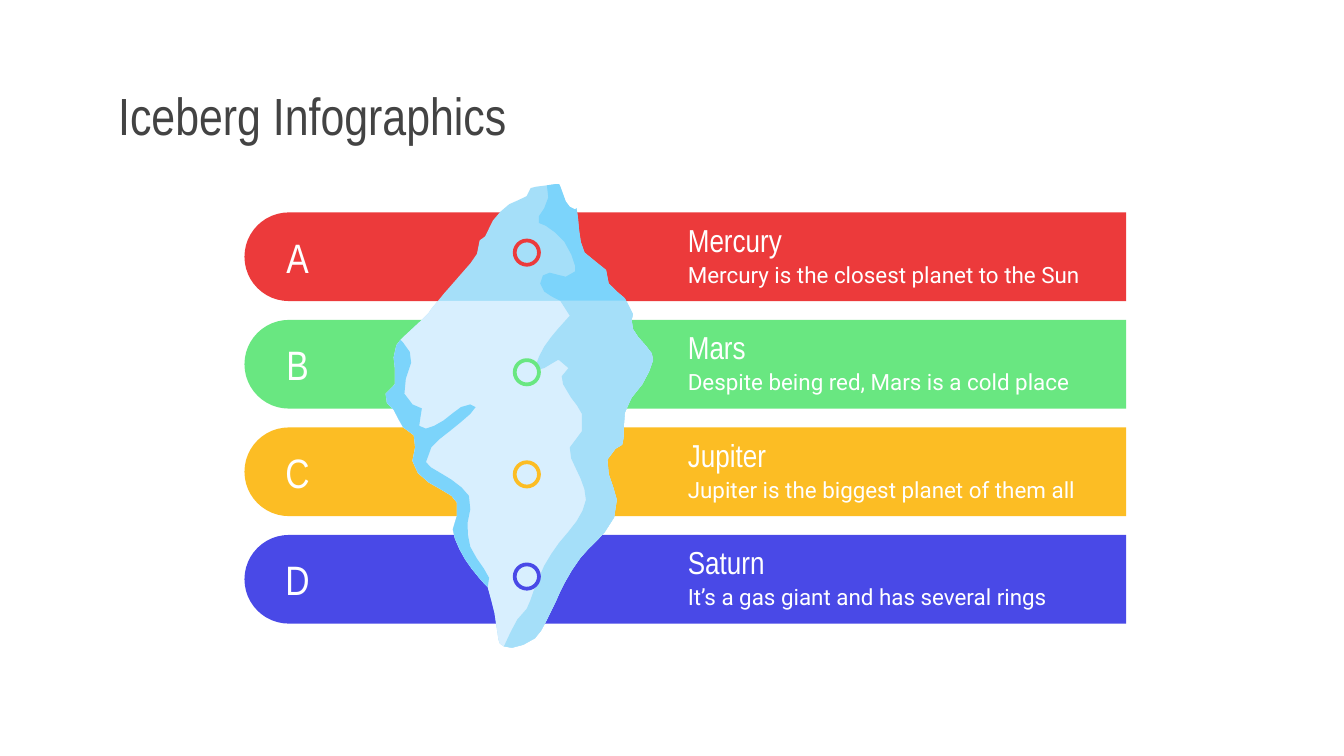
from pptx import Presentation
from pptx.dml.color import RGBColor
from pptx.enum.shapes import MSO_SHAPE
from pptx.enum.text import MSO_ANCHOR, PP_ALIGN
from pptx.util import Pt

ROUND_TOP, OVAL = MSO_SHAPE.ROUND_2_SAME_RECTANGLE, MSO_SHAPE.OVAL
LEFT, CENTER, MIDDLE = PP_ALIGN.LEFT, PP_ALIGN.CENTER, MSO_ANCHOR.MIDDLE

WHITE = RGBColor(0xFF, 0xFF, 0xFF)
GRAY = RGBColor(0x43, 0x43, 0x43)
RED = RGBColor(0xEC, 0x3A, 0x3B)
GREEN = RGBColor(0x69, 0xE7, 0x81)
YELLOW = RGBColor(0xFC, 0xBD, 0x24)
BLUE = RGBColor(0x49, 0x49, 0xE7)
ICE_DARK = RGBColor(0x7C, 0xD4, 0xFB)
ICE_MID = RGBColor(0xA5, 0xDF, 0xF9)
ICE_LIGHT = RGBColor(0xD8, 0xEF, 0xFE)

HEAD, BODY = "Arial Narrow", "Roboto"

# letter, name, text, colour, y of the ring's top on the iceberg grid
ROWS = [
    ("A", "Mercury", "Mercury is the closest planet to the Sun", RED, 42),
    ("B", "Mars", "Despite being red, Mars is a cold place", GREEN, 131),
    ("C", "Jupiter", "Jupiter is the biggest planet of them all", YELLOW, 207),
    ("D", "Saturn", "It’s a gas giant and has several rings", BLUE, 283),
]

# Iceberg edges as knots on a grid of 201 by 345, joined by smooth curves
GRID_W, GRID_H = 201, 345
PEAK = [(128, 0), (121, 1)]
CROWN_LEFT = [
    (121, 1), (113, 2), (109, 3), (106, 9), (93, 15), (81, 27), (75, 39),
    (71, 42), (69, 52), (58, 66), (44, 82), (40, 87)]
SHOULDER = [(40, 87), (35, 93), (33, 96), (14, 114), (12, 116)]
FLANK = [
    (12, 116), (9, 120), (7, 129), (8, 138), (8, 149), (1, 156), (2, 163),
    (7, 168), (14, 181), (22, 187), (23, 196), (21, 206), (25, 215),
    (33, 222), (50, 232), (54, 237), (54, 247), (51, 257), (60, 279),
    (75, 298), (77, 300)]
FOOT = [(77, 300), (82, 319), (85, 339), (86, 342), (89, 344)]
RIGHT = [
    (89, 344), (95, 345), (112, 338), (124, 318), (134, 297), (146, 278),
    (164, 259), (171, 248), (173, 235), (167, 216), (166, 205), (172, 197),
    (177, 194), (178, 189), (179, 170), (184, 159), (192, 149), (200, 131),
    (199, 126), (189, 114), (185, 108), (184, 101), (185, 97), (180, 87)]
CROWN_RIGHT = [
    (180, 87), (179, 85), (167, 74), (165, 64), (149, 51), (145, 35),
    (143, 18), (142, 19), (138, 17), (135, 13), (131, 2), (130, 0), (128, 0)]
SHADE_TOP = [
    (121, 1), (122, 10), (119, 18), (115, 24), (115, 29), (120, 31),
    (134, 43), (142, 61), (142, 65), (135, 69), (131, 68), (123, 66),
    (118, 68), (116, 74), (119, 80), (131, 87)]
SHADE_LOW = [
    (131, 87), (138, 98), (129, 108), (119, 121), (113, 134), (113, 137),
    (115, 138), (119, 137), (129, 131), (130, 131), (137, 137), (132, 143),
    (133, 149), (139, 159), (147, 171), (147, 184), (138, 196), (139, 204),
    (146, 219), (150, 235), (143, 251), (130, 267), (119, 284), (111, 303),
    (106, 316), (99, 324), (89, 344)]
RIM = [
    (77, 300), (78, 293), (74, 286), (64, 270), (62, 252), (64, 242),
    (63, 232), (50, 220), (35, 211), (31, 207), (35, 196), (56, 178),
    (68, 166), (64, 164), (57, 166), (44, 176), (31, 182), (26, 180),
    (27, 173), (28, 167), (21, 164), (15, 156), (16, 145), (20, 133),
    (19, 125), (14, 118), (12, 116)]

ICE_PARTS = [
    ([PEAK, CROWN_LEFT, SHOULDER, FLANK, FOOT, RIGHT, CROWN_RIGHT], ICE_MID),
    ([PEAK, SHADE_TOP, SHADE_LOW, RIGHT, CROWN_RIGHT], ICE_DARK),
    ([SHOULDER, FLANK, FOOT, RIGHT], ICE_LIGHT),
    ([SHADE_LOW, RIGHT], ICE_MID),
    ([FLANK, RIM], ICE_DARK),
]


def smooth(knots, stride=9):
    """Sample a centripetal Catmull-Rom curve, about one point per stride."""
    p = [complex(*k) for k in knots]
    p = [2 * p[0] - p[1], *p, 2 * p[-1] - p[-2]]
    points = []
    for a, b, c, d in zip(p, p[1:], p[2:], p[3:]):
        u, v, w = (abs(e) ** 0.5 for e in (b - a, c - b, d - c))
        m = v * ((b - a) / u - (c - a) / (u + v)) + c - b
        n = v * ((d - c) / w - (d - b) / (v + w)) + c - b
        steps = max(1, round(abs(c - b) / stride))
        for i in range(steps):
            t = i / steps
            points.append(b + m * t + (3 * (c - b) - 2 * m - n) * t ** 2
                          + (2 * (b - c) + m + n) * t ** 3)
    return [(q.real, q.imag) for q in points + [p[-2]]]


def paint(s, fill=None, line=None, width=2):
    s.shadow.inherit = False
    if fill is None:
        s.fill.background()
    else:
        s.fill.solid()
        s.fill.fore_color.rgb = fill
    if line is None:
        s.line.fill.background()
    else:
        s.line.color.rgb = line
        s.line.width = Pt(width)


def add_text(slide, text, x, y, w, h, size, font=HEAD, color=WHITE, align=LEFT):
    tf = slide.shapes.add_textbox(Pt(x), Pt(y), Pt(w), Pt(h)).text_frame
    tf.word_wrap = True
    tf.vertical_anchor = MIDDLE
    tf.margin_left = tf.margin_right = tf.margin_top = tf.margin_bottom = Pt(7.2)
    p = tf.paragraphs[0]
    p.alignment = align
    r = p.add_run()
    r.text = text
    r.font.size = Pt(size)
    r.font.name = font
    r.font.color.rgb = color


def add_band(slide, x, y, w, h, letter, name, text, color):
    """Bar rounded on the left: a round-topped shape turned a quarter left."""
    s = slide.shapes.add_shape(ROUND_TOP, Pt(x + (w - h) / 2),
                               Pt(y + (h - w) / 2), Pt(h), Pt(w))
    s.rotation = 270
    s.adjustments[0], s.adjustments[1] = 0.5, 0
    paint(s, fill=color)
    add_text(slide, text, x + 230.4, y + 20.2, 229, 26, 12, font=BODY)
    add_text(slide, name, x + 230.4, y + 1.4, 229, 26, 17)
    add_text(slide, letter, x + 8.6, y + 7.2, 39.6, 33, 22, align=CENTER)


def add_iceberg(slide, x, y, w, h):
    def place(point):
        return Pt(x + point[0] * w / GRID_W), Pt(y + point[1] * h / GRID_H)

    for edges, color in ICE_PARTS:
        points = [place(q) for edge in edges for q in smooth(edge)]
        builder = slide.shapes.build_freeform(*points[0], scale=1.0)
        builder.add_line_segments(points[1:], close=True)
        paint(builder.convert_to_shape(), fill=color)
    for *_, color, top in ROWS:
        s = slide.shapes.add_shape(OVAL, *place((97, top)), Pt(13), Pt(13))
        paint(s, line=color)


def main():
    prs = Presentation()
    prs.slide_width, prs.slide_height = Pt(720), Pt(405)
    slide = prs.slides.add_slide(prs.slide_layouts[6])
    for i, (letter, name, text, color, _) in enumerate(ROWS):
        add_band(slide, 131, 113.8 + i * 57.6, 472.3, 47.5,
                 letter, name, text, color)
    add_text(slide, "Iceberg Infographics", 56.2, 42.5, 608.4, 38.2, 28, color=GRAY)
    add_iceberg(slide, 205.9, 98.6, 144.7, 248.4)
    prs.save("out.pptx")


if __name__ == "__main__":
    main()
